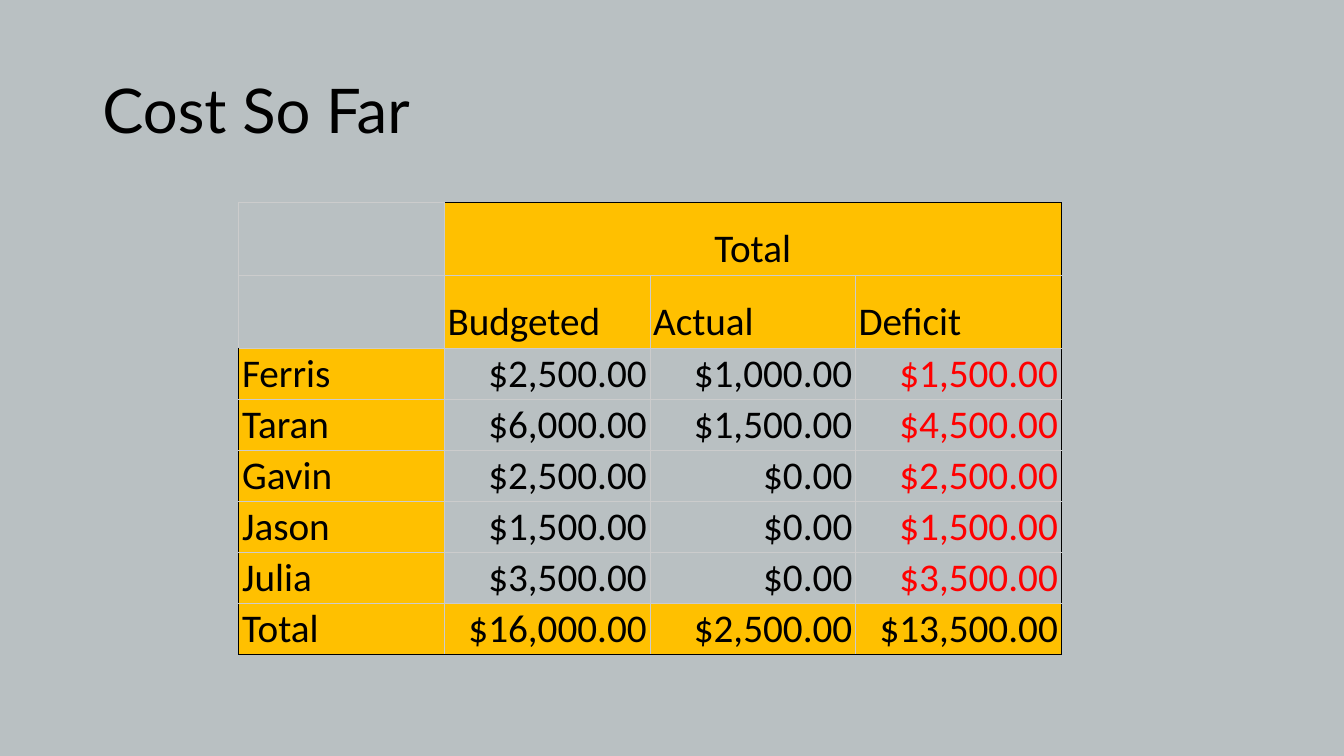
from lxml.etree import SubElement as Sub
from pptx import Presentation
from pptx.dml.color import RGBColor
from pptx.enum.text import MSO_ANCHOR as Anchor, PP_ALIGN as Align
from pptx.oxml.ns import qn
from pptx.util import Cm, Pt

GREY = RGBColor(0xB9, 0xC0, 0xC2)
GOLD = RGBColor(0xFF, 0xC0, 0x00)
RED = RGBColor(0xFF, 0x00, 0x00)
BLACK = RGBColor(0x00, 0x00, 0x00)
LINE = RGBColor(0xCC, 0xCC, 0xCC)

COSTS = [
    ["", "Total", "", ""],
    ["", "Budgeted", "Actual", "Deficit"],
    ["Ferris", "$2,500.00", "$1,000.00", "$1,500.00"],
    ["Taran", "$6,000.00", "$1,500.00", "$4,500.00"],
    ["Gavin", "$2,500.00", "$0.00", "$2,500.00"],
    ["Jason", "$1,500.00", "$0.00", "$1,500.00"],
    ["Julia", "$3,500.00", "$0.00", "$3,500.00"],
    ["Total", "$16,000.00", "$2,500.00", "$13,500.00"],
]


class Deck:
    """Holds the style and the current slide, and adds its elements."""

    def __init__(self, deck):
        self.slide = deck.slides.add_slide(deck.slide_layouts[6])
        fill = self.slide.background.fill
        fill.solid()
        fill.fore_color.rgb = GREY

    def run(self, para, text, font, size, color=BLACK):
        run = para.add_run()
        run.text = text
        run.font.name = font
        run.font.size = Pt(size)
        run.font.color.rgb = color

    def title(self, text, left, top, width, height):
        box = self.slide.shapes.add_textbox(Cm(left), Cm(top), Cm(width), Cm(height))
        frame = box.text_frame
        frame.word_wrap = True
        frame.vertical_anchor = Anchor.MIDDLE
        para = frame.paragraphs[0]
        para.line_spacing = 0.9
        self.run(para, text, "Lato", 44)

    def border(self, cell, side, color):
        line = Sub(cell._tc.get_or_add_tcPr(), qn("a:ln" + side), w=str(Pt(0.75)))
        Sub(Sub(line, qn("a:solidFill")), qn("a:srgbClr"), val=str(color))

    def cell(self, cell, text, gold, align, color, dark):
        cell.margin_left = cell.margin_right = Cm(0.08)
        cell.margin_top = cell.margin_bottom = Cm(0.05)
        cell.vertical_anchor = Anchor.BOTTOM
        for side in "LRTB":
            self.border(cell, side, BLACK if side in dark else LINE)
        if gold:
            cell.fill.solid()
            cell.fill.fore_color.rgb = GOLD
        else:
            cell.fill.background()
        if text:
            para = cell.text_frame.paragraphs[0]
            para.alignment = align
            self.run(para, text, "Calibri", 28, color)

    def table(self, data, left, top, width, head, body):
        rows, cols = len(data), len(data[0])
        high = [head] * 2 + [body] * (rows - 2)
        frame = self.slide.shapes.add_table(
            rows, cols, Cm(left), Cm(top), Cm(width * cols), Cm(sum(high)))
        table = frame.table
        table.first_row = table.horz_banding = False
        for col in table.columns:
            col.width = Cm(width)
        for row, size in zip(table.rows, high):
            row.height = Cm(size)
        table.cell(0, 1).merge(table.cell(0, cols - 1))
        for r, row in enumerate(data):
            for c, text in enumerate(row):
                top_row, last = r < 2, r == rows - 1
                edge = c == cols - 1
                gold = (c > 0) if top_row else (c == 0 or last)
                align = Align.LEFT if top_row or c == 0 else Align.RIGHT
                if r == 0:
                    align = Align.CENTER
                color = RED if edge and not top_row and not last else BLACK
                dark = "L" if c == 0 and not top_row else ""
                dark += "R" if edge or (r == 0 and c > 0) else ""
                dark += "T" if r == 0 and c > 0 else ""
                dark += "B" if last else ""
                self.cell(table.cell(r, c), text, gold, align, color, dark)


def main():
    deck = Presentation()
    deck.slide_width, deck.slide_height = Cm(33.87), Cm(19.05)
    page = Deck(deck)
    page.title("Cost So Far", 2.33, 1.01, 29.21, 3.68)
    page.table(COSTS, 6.02, 5.11, 5.18, 1.83, 1.22)
    deck.save("out.pptx")


if __name__ == "__main__":
    main()
